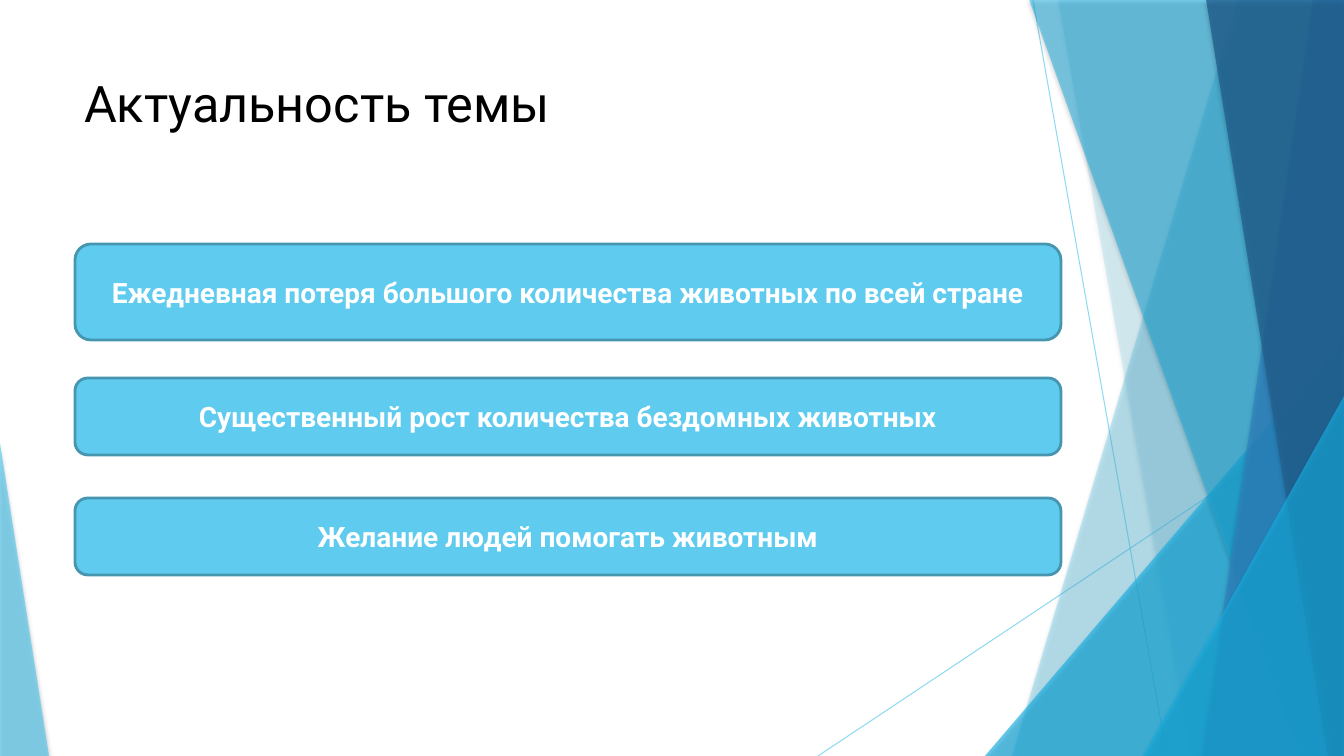
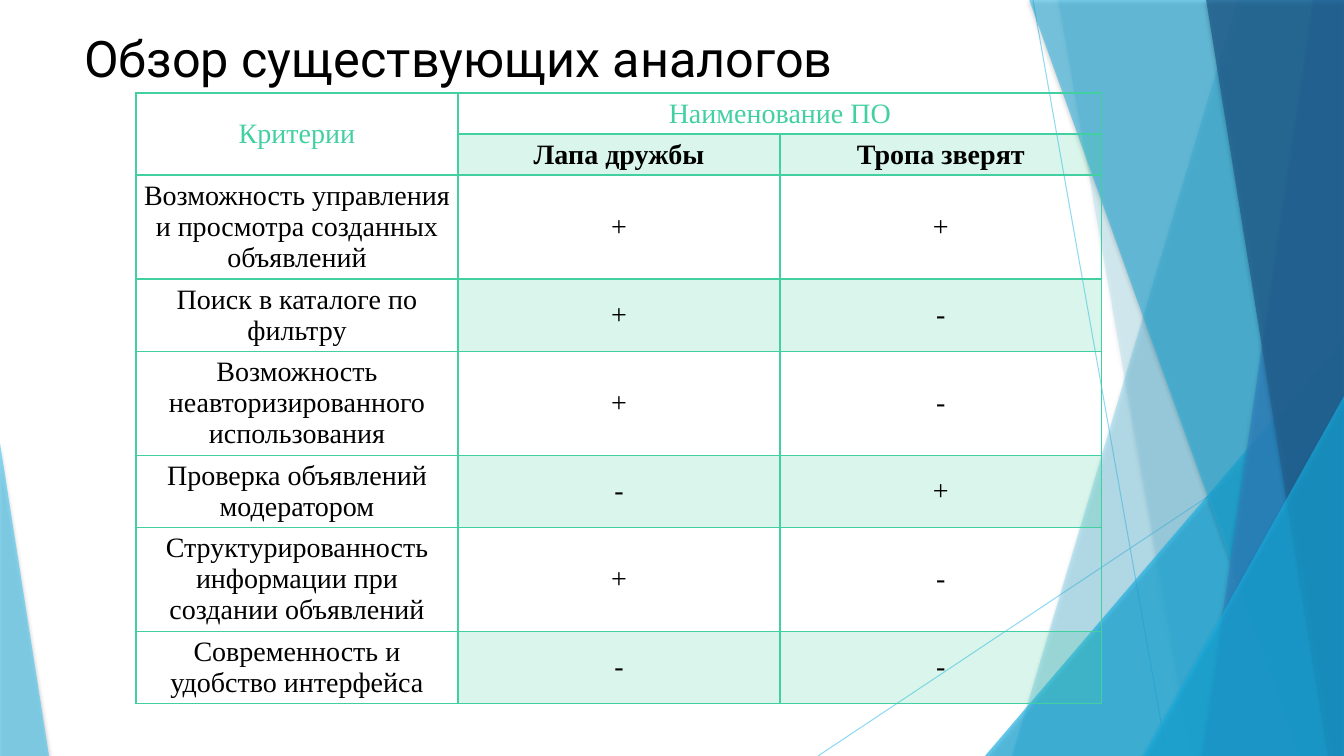
from lxml.etree import SubElement
from pptx import Presentation
from pptx.dml.color import RGBColor
from pptx.enum.shapes import MSO_CONNECTOR as LINK, MSO_SHAPE as FORM
from pptx.enum.text import MSO_ANCHOR as ANCHOR, PP_ALIGN as ALIGN
from pptx.oxml.ns import qn
from pptx.util import Pt

PX = 914400 / 100.8
WIDE, HIGH = 1344, 756
SKY, BLUE, GREEN = "5FCBEF", "17B0E4", "42D0A2"
BLACK, WHITE = "000000", "FFFFFF"


def px(*nums):
    """Turn px lengths into a list of EMU."""
    return [round(num * PX) for num in nums]


def paint(fill, tint, node=None, alpha=100):
    """Fill with a colour; node is the XML that holds it when it is see-through."""
    fill.solid()
    fill.fore_color.rgb = RGBColor.from_string(tint)
    if alpha < 100:
        color = next(node.iter(qn("a:srgbClr")))
        SubElement(color, qn("a:alpha"), val=str(alpha * 1000))


deck = Presentation()
deck.slide_width, deck.slide_height = px(WIDE, HIGH)
layout = deck.slide_layouts[5]

# Titles: shared style, own height on the slide
slides = []
for text, top in [("Актуальность темы", 67), ("Обзор существующих аналогов", 22)]:
    slide = deck.slides.add_slide(layout)
    title = slide.shapes.title
    title.left, title.top, title.width, title.height = px(74, top, 947, 145)
    title.text_frame.text = text
    title.text_frame.vertical_anchor = ANCHOR.TOP
    para = title.text_frame.paragraphs[0]
    para.alignment = ALIGN.LEFT
    font = para.runs[0].font
    font.name, font.size = "Roboto", Pt(36)
    paint(font.fill, BLACK)
    slides.append(slide)
theme, review = slides

# Backdrop: thin lines, then bands (top x, foot x) and corners (box, tip)
art = []
for ends in [(1033, 0, 1167, HIGH), (WIDE, 406, 818, HIGH)]:
    line = theme.shapes.add_connector(LINK.STRAIGHT, *px(*ends))
    line.line.width = Pt(0.75)
    paint(line.line.fill, SKY, line.element.spPr, 70)
    SubElement(line.element.spPr, qn("a:effectLst"))
    art.append(line)

for tint, alpha, *place in [
    (SKY, 36, 1238, 1012),
    (SKY, 20, 1058, 1191),
    (BLUE, 66, 985, 336, 359, 420, 1),
    (BLUE, 50, 1029, 1301),
    ("2E83C3", 70, 1313, 1202),
    ("226292", 80, 1206, 1328),
    (BLUE, 66, 1143, 396, 201, 360, 1),
    (SKY, 70, 0, 443, 49, 313, 0),
]:
    if len(place) == 2:
        top, foot = place
        pen = theme.shapes.build_freeform(top, -1, scale=PX)
        pen.add_line_segments([(WIDE, -1), (WIDE, HIGH), (foot, HIGH)])
        shape = pen.convert_to_shape()
    else:
        *box, tip = place
        shape = theme.shapes.add_shape(FORM.ISOSCELES_TRIANGLE, *px(*box))
        shape.adjustments[0] = tip
    props = shape.element.spPr
    paint(shape.fill, tint, props, alpha)
    shape.line.fill.background()
    glow = SubElement(props, qn("a:effectLst"))
    shade = SubElement(glow, qn("a:outerShdw"), blurRad=str(Pt(3)),
                       dist=str(Pt(2)), dir="5400000", rotWithShape="0")
    color = SubElement(shade, qn("a:srgbClr"), val=BLACK)
    SubElement(color, qn("a:alpha"), val="35000")
    art.append(shape)

# The backdrop belongs to the layout, behind its placeholders
for spot, shape in enumerate(art, 2):
    next(shape.element.iter(qn("p:cNvPr"))).set("id", str(100 + spot))
    layout.shapes.element.insert(spot, shape.element)

# Slide 1: reasons
for text, top, high in [
    ("Ежедневная потеря большого количества животных по всей стране", 244, 96),
    ("Существенный рост количества бездомных животных", 378, 77),
    ("Желание людей помогать животным", 498, 77),
]:
    card = theme.shapes.add_shape(FORM.ROUNDED_RECTANGLE, *px(75, top, 986, high))
    card.shadow.inherit = False
    paint(card.fill, SKY)
    paint(card.line.fill, "4696B0")
    card.line.width = Pt(2)
    card.text_frame.text = text
    card.text_frame.word_wrap = True
    card.text_frame.vertical_anchor = ANCHOR.MIDDLE
    para = card.text_frame.paragraphs[0]
    para.alignment = ALIGN.CENTER
    font = para.runs[0].font
    font.name, font.size, font.bold = "Roboto", Pt(20), True
    paint(font.fill, WHITE)

# Slide 2: comparison table
rows = [
    ("Критерии", "Наименование ПО", ""),
    ("", "Лапа дружбы", "Тропа зверят"),
    ("Возможность управления и просмотра созданных объявлений", "+", "+"),
    ("Поиск в каталоге по фильтру", "+", "-"),
    ("Возможность неавторизированного использования", "+", "-"),
    ("Проверка объявлений модератором", "-", "+"),
    ("Структурированность информации при создании объявлений", "+", "-"),
    ("Современность и удобство интерфейса", "-", "-"),
]
highs = [41, 41] + [104, 72] * 3
frame = review.shapes.add_table(len(rows), 3, *px(136, 93, 966, sum(highs)))
table = frame.table
table.first_row = table.horz_banding = False
for row, high in zip(table.rows, highs):
    row.height = px(high)[0]
table.cell(0, 0).merge(table.cell(1, 0))
table.cell(0, 1).merge(table.cell(0, 2))

nodes = list(frame.element.iter(qn("a:tc")))
for spot, (cell, node) in enumerate(zip(table.iter_cells(), nodes)):
    r, c = divmod(spot, 3)
    cell.margin_left, cell.margin_right = px(7, 7)
    cell.margin_top, cell.margin_bottom = px(5, 5)
    cell.vertical_anchor = ANCHOR.MIDDLE
    props = node.get_or_add_tcPr()
    for side in "LRTB":
        edge = SubElement(props, qn("a:ln" + side), w=str(Pt(0.96)))
        solid = SubElement(edge, qn("a:solidFill"))
        SubElement(solid, qn("a:srgbClr"), val=GREEN)
    if r % 2 and c:
        cell.fill.solid()
        paint(cell.fill, GREEN, props.find(qn("a:solidFill")), 20)
    else:
        cell.fill.background()
    if rows[r][c]:
        cell.text_frame.text = rows[r][c]
        para = cell.text_frame.paragraphs[0]
        para.alignment = ALIGN.CENTER
        font = para.runs[0].font
        font.name, font.size, font.bold = "Times New Roman", Pt(20), r == 1
        paint(font.fill, BLACK if r else GREEN)

deck.save("out.pptx")
